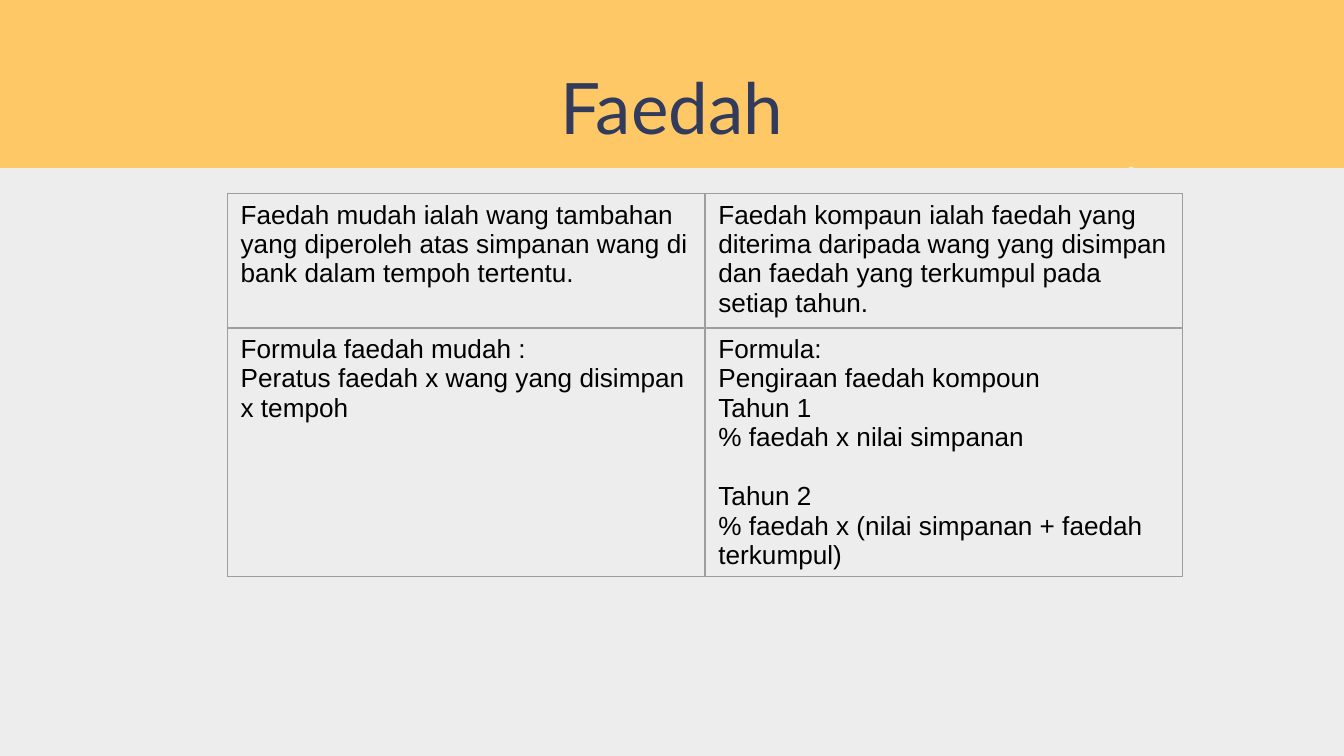
from lxml import etree
from pptx import Presentation
from pptx import util as u
from pptx.dml.color import RGBColor
from pptx.enum import text
from pptx.oxml.ns import qn

PAPER = RGBColor(0xED, 0xED, 0xED)
AMBER = RGBColor(0xFF, 0xC8, 0x67)
NAVY = RGBColor(0x32, 0x3B, 0x5B)
BLACK = RGBColor(0, 0, 0)
GREY = RGBColor(0x9E, 0x9E, 0x9E)

WIDTH = 10
HEIGHT = WIDTH * 9 / 16
BAND_BOX = (0, 0, WIDTH, 1.25)
TITLE_BOX = (0.78, 0.37, 8.44, 0.77)
TABLE_BOX = (1.69, 1.44, 7.11, 3)
ROW_HEIGHT = 1
LINE_GAP = 16

ROWS = [
    [
        [["Faedah mudah ialah wang tambahan yang diperoleh atas simpanan wang di "
          "bank dalam tempoh tertentu."]],
        [["Faedah kompaun ialah faedah yang diterima daripada wang yang disimpan "
          "dan faedah yang terkumpul pada setiap tahun."]],
    ],
    [
        [["Formula faedah mudah :", "Peratus faedah x wang yang disimpan x tempoh"]],
        [
            ["Formula:", "Pengiraan faedah kompoun", "Tahun 1",
             "% faedah x nilai simpanan"],
            ["Tahun 2", "% faedah x (nilai simpanan + faedah terkumpul)"],
        ],
    ],
]


def add_band(page, box):
    left, top, width, height = box
    right, bottom = left + width, top + height
    notch = left + 0.842 * width
    outline = [(right, top), (right, bottom), (notch + 0.02, bottom),
               (notch, bottom - 0.01), (notch - 0.03, bottom), (left, bottom)]
    builder = page.shapes.build_freeform(u.Inches(left), u.Inches(top))
    builder.add_line_segments([(u.Inches(x), u.Inches(y)) for x, y in outline])
    band = builder.convert_to_shape()
    band.shadow.inherit = False
    band.fill.solid()
    band.fill.fore_color.rgb = AMBER
    band.line.fill.background()


def place_title(page, box, words):
    title = page.shapes.title
    title.left, title.top, title.width, title.height = map(u.Inches, box)
    frame = title.text_frame
    frame.text = words
    frame.word_wrap = True
    frame.auto_size = text.MSO_AUTO_SIZE.NONE
    frame.vertical_anchor = text.MSO_ANCHOR.TOP
    frame.margin_left = frame.margin_right = u.Inches(0.1)
    frame.margin_top = frame.margin_bottom = u.Inches(0.1)
    para = frame.paragraphs[0]
    para.alignment = text.PP_ALIGN.CENTER
    set_font(para, "Lato", 38, NAVY)
    tree = title.element.getparent()
    tree.remove(title.element)
    tree.append(title.element)


def set_font(para, name, size, color):
    para.font.name = name
    para.font.size = u.Pt(size)
    para.font.color.rgb = color


def set_borders(cell):
    properties = cell._tc.get_or_add_tcPr()
    for index, side in enumerate(("a:lnL", "a:lnR", "a:lnT", "a:lnB")):
        line = etree.Element(qn(side), w=str(u.Pt(0.75)))
        fill = etree.SubElement(line, qn("a:solidFill"))
        etree.SubElement(fill, qn("a:srgbClr"), val=str(GREY))
        properties.insert(index, line)


def fill_cell(cell, groups):
    frame = cell.text_frame
    lines = [(words, number > 0 and position == 0)
             for number, group in enumerate(groups)
             for position, words in enumerate(group)]
    frame.text = "\n".join(words for words, _ in lines)
    for para, (_, opens_group) in zip(frame.paragraphs, lines):
        set_font(para, "Arial", 14, BLACK)
        if opens_group:
            para.space_before = u.Pt(LINE_GAP)
    cell.fill.background()
    set_borders(cell)


def add_comparison(page, box, rows):
    holder = page.shapes.add_table(len(rows), len(rows[0]), *map(u.Inches, box))
    table = holder.table
    table.first_row = table.horz_banding = False
    for row, contents in zip(table.rows, rows):
        row.height = u.Inches(ROW_HEIGHT)
        for cell, groups in zip(row.cells, contents):
            fill_cell(cell, groups)
    holder.height = u.Inches(box[3])


def main():
    deck = Presentation()
    deck.slide_width, deck.slide_height = u.Inches(WIDTH), u.Inches(HEIGHT)
    page = deck.slides.add_slide(deck.slide_layouts.get_by_name("Title Only"))
    page.background.fill.solid()
    page.background.fill.fore_color.rgb = PAPER
    add_band(page, BAND_BOX)
    place_title(page, TITLE_BOX, "Faedah")
    add_comparison(page, TABLE_BOX, ROWS)
    deck.save("out.pptx")


if __name__ == "__main__":
    main()
